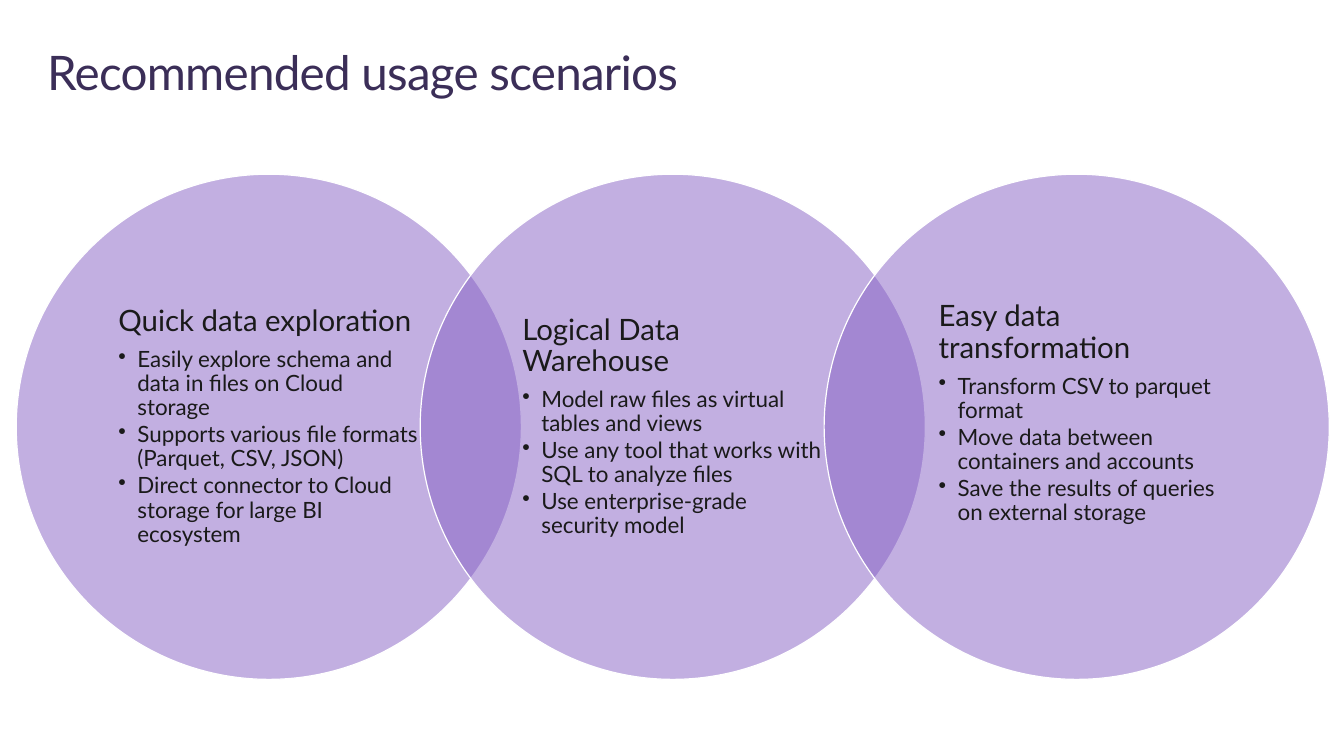
import pptx
import pptx.util
import pptx.dml.color
import pptx.enum.shapes
import pptx.enum.text
import pptx.oxml.ns
import lxml.etree

Cm = pptx.util.Cm
Pt = pptx.util.Pt
RGB = pptx.dml.color.RGBColor
Anchor = pptx.enum.text.MSO_ANCHOR
qn = pptx.oxml.ns.qn

PURPLE = RGB(0x86, 0x61, 0xC5)
PLUM = RGB(0x3B, 0x2E, 0x58)
INK = RGB(0x1A, 0x1A, 0x1A)
WHITE = RGB(0xFF, 0xFF, 0xFF)


def write(para, text, size, color=INK, line=None, after=0, bullet=False, track=None):
    if bullet:
        props = para._p.get_or_add_pPr()
        props.set("marL", str(Cm(0.48)))
        props.set("indent", str(-Cm(0.48)))
        lxml.etree.SubElement(props, qn("a:buChar")).set("char", "•")
        para.level = 1
    para.line_spacing = line
    para.space_after = Pt(after)
    run = para.add_run()
    run.text = text
    run.font.name = "Lato"
    run.font.size = Pt(size)
    run.font.color.rgb = color
    if track is not None:
        run.font._element.set("spc", str(track))


def frame(box, left, top, right, bottom, anchor):
    text = box.text_frame
    text.word_wrap = True
    text.margin_left, text.margin_top = Cm(left), Cm(top)
    text.margin_right, text.margin_bottom = Cm(right), Cm(bottom)
    text.vertical_anchor = anchor
    return text


deck = pptx.Presentation()
deck.slide_width = Cm(33.87)
deck.slide_height = Cm(19.05)
slide = deck.slides.add_slide(deck.slide_layouts[6])
shapes = slide.shapes

# Title
title = shapes.add_textbox(Cm(1.19), Cm(0.61), Cm(22.48), Cm(2.11))
write(frame(title, 0, 0.46, 0, 0, Anchor.TOP).paragraphs[0],
      "Recommended usage scenarios", 34, color=PLUM, track=-50)

# Scenarios: heading, bullets, left and bottom text margins
cases = [
    ("Quick data exploration",
     ["Easily explore schema and data in files on Cloud storage",
      "Supports various file formats (Parquet, CSV, JSON)",
      "Direct connector to Cloud storage for large BI ecosystem"], 0.71, 0.08),
    ("Logical Data Warehouse",
     ["Model raw files as virtual tables and views",
      "Use any tool that works with SQL to analyze files",
      "Use enterprise-grade security model"], 0.71, 0.08),
    ("Easy data transformation",
     ["Transform CSV to parquet format",
      "Move data between containers and accounts",
      "Save the results of queries on external storage"], 1.02, 0.75),
]

# Overlapping circles, each with its text
SIZE, STEP, LEFT, TOP = 12.73, 10.18, 0.41, 4.39
SIDE = 9
INSET = (SIZE - SIDE) / 2

for i, (head, items, left, bottom) in enumerate(cases):
    x = LEFT + i * STEP
    disc = shapes.add_shape(pptx.enum.shapes.MSO_SHAPE.OVAL,
                            Cm(x), Cm(TOP), Cm(SIZE), Cm(SIZE))
    disc.shadow.inherit = False
    disc.fill.solid()
    disc.fill.fore_color.rgb = PURPLE
    tint = disc._element.spPr.find(qn("a:solidFill"))[0]
    lxml.etree.SubElement(tint, qn("a:alpha")).set("val", "50000")
    disc.line.color.rgb = WHITE
    disc.line.width = Pt(0.85)

    box = shapes.add_textbox(Cm(x + INSET), Cm(TOP + INSET), Cm(SIDE), Cm(SIDE))
    text = frame(box, left, 0.08, 0.71, bottom, Anchor.MIDDLE)
    write(text.paragraphs[0], head, 21, line=0.9, after=7)
    for item in items:
        write(text.add_paragraph(), item, 16, line=0.9, after=2, bullet=True)

deck.save("out.pptx")
